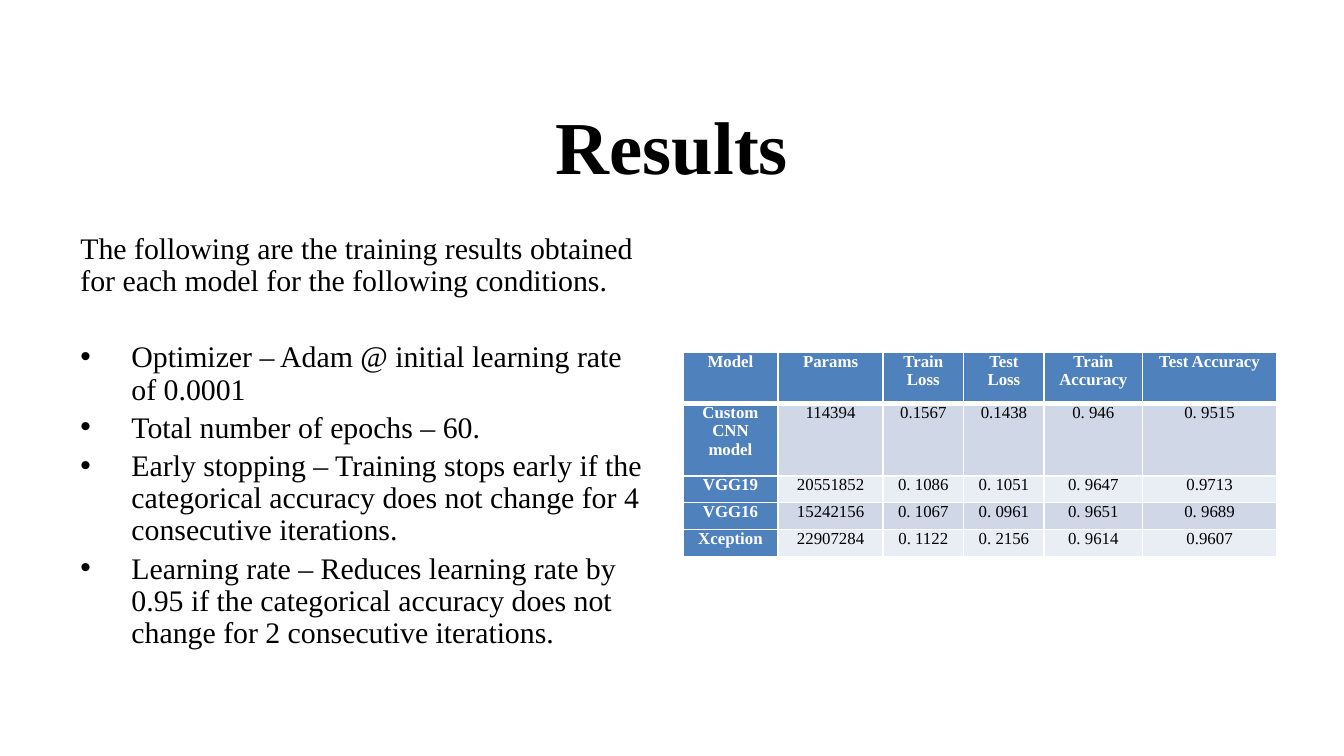
import pptx
import pptx.dml.color
import pptx.enum.text
import pptx.oxml
import pptx.oxml.ns
import pptx.util

Inches = pptx.util.Inches
Pt = pptx.util.Pt
CENTER = pptx.enum.text.PP_ALIGN.CENTER

BLACK, WHITE, BLUE = "000000", "FFFFFF", "4F81BD"
BANDS = ["D0D8E8", "E9EDF4"]

INTRO = ("The following are the training results obtained for each model "
         "for the following conditions.")
CONDITIONS = [
    "Optimizer – Adam @ initial learning rate of 0.0001",
    "Total number of epochs – 60.",
    "Early stopping – Training stops early if the categorical accuracy "
    "does not change for 4 consecutive iterations.",
    "Learning rate – Reduces learning rate by 0.95 if the categorical "
    "accuracy does not change for 2 consecutive iterations.",
]
RESULTS = [
    ["Model", "Params", "Train Loss", "Test Loss", "Train Accuracy", "Test Accuracy"],
    ["Custom CNN model", "114394", "0.1567", "0.1438", "0. 946", "0. 9515"],
    ["VGG19", "20551852", "0. 1086", "0. 1051", "0. 9647", "0.9713"],
    ["VGG16", "15242156", "0. 1067", "0. 0961", "0. 9651", "0. 9689"],
    ["Xception", "22907284", "0. 1122", "0. 2156", "0. 9614", "0.9607"],
]
COLUMN_WIDTHS = [0.71, 0.78, 0.6, 0.6, 0.73, 1]
ROW_HEIGHTS = [0.38, 0.54, 0.2, 0.2, 0.2]


def color(value):
    return pptx.dml.color.RGBColor.from_string(value)


def apply(target, values):
    for name, value in values.items():
        setattr(target, name, value)


def write(para, text, size, text_color=BLACK, bold=False, **layout):
    apply(para, layout)
    span = para.add_run()
    span.text = text
    apply(span.font, {"name": "Times New Roman", "size": Pt(size), "bold": bold})
    span.font.color.rgb = color(text_color)


def add_bullet(para, indent):
    properties = para._p.get_or_add_pPr()
    properties.set("marL", str(Inches(indent)))
    properties.set("indent", str(-Inches(indent)))
    namespace = pptx.oxml.ns.nsdecls("a")
    for tag in ('buFont typeface="Arial"', 'buChar char="•"'):
        properties.append(pptx.oxml.parse_xml(f"<a:{tag} {namespace}/>"))


def set_borders(cell, widths):
    """Draw white borders; widths are for left, right, top and bottom."""
    properties = cell._tc.get_or_add_tcPr()
    for index, (side, width) in enumerate(zip("LRTB", widths)):
        properties.insert(index, pptx.oxml.parse_xml(
            f'<a:ln{side} {pptx.oxml.ns.nsdecls("a")} w="{Pt(width)}">'
            f'<a:solidFill><a:srgbClr val="{WHITE}"/></a:solidFill></a:ln{side}>'))


def add_text_frame(page, left, top, width, height):
    box = page.shapes.add_textbox(*map(Inches, (left, top, width, height)))
    box.text_frame.word_wrap = True
    return box.text_frame


def add_title(page, left, top, width, height):
    frame = add_text_frame(page, left, top, width, height)
    frame.vertical_anchor = pptx.enum.text.MSO_ANCHOR.MIDDLE
    write(frame.paragraphs[0], "Results", 40, bold=True,
          alignment=CENTER, line_spacing=0.9)


def add_conditions(page, left, top, width, height):
    frame = add_text_frame(page, left, top, width, height)
    write(frame.paragraphs[0], INTRO, 16, line_spacing=0.9)
    for index, condition in enumerate(CONDITIONS):
        para = frame.add_paragraph()
        add_bullet(para, 0.38)
        # The wider first gap separates the list from the introduction
        write(para, condition, 16, line_spacing=0.9,
              space_before=Pt(3.2 if index else 23.5))


def add_results_table(page, left, top, width, height):
    table = page.shapes.add_table(
        len(RESULTS), len(COLUMN_WIDTHS),
        *map(Inches, (left, top, width, height))).table
    for column, column_width in zip(table.columns, COLUMN_WIDTHS):
        column.width = Inches(column_width)
    for row, row_height in zip(table.rows, ROW_HEIGHTS):
        row.height = Inches(row_height)

    for row_index, values in enumerate(RESULTS):
        for column_index, value in enumerate(values):
            cell = table.cell(row_index, column_index)
            heading = row_index == 0 or column_index == 0
            apply(cell, {"margin_left": Inches(0.06), "margin_right": Inches(0.06),
                         "margin_top": 0, "margin_bottom": 0})
            cell.fill.solid()
            cell.fill.fore_color.rgb = color(
                BLUE if heading else BANDS[(row_index - 1) % 2])
            # A thick rule separates the header from the body
            set_borders(cell, [1, 1, 3 if row_index == 1 else 1,
                               3 if row_index == 0 else 1])
            write(cell.text_frame.paragraphs[0], value, 9,
                  WHITE if heading else BLACK, heading, alignment=CENTER)


def main():
    deck = pptx.Presentation()
    # Widescreen page, 16 to 9
    deck.slide_width = Inches(10)
    deck.slide_height = deck.slide_width * 9 // 16
    page = deck.slides.add_slide(deck.slide_layouts[6])
    add_title(page, 0.5, 0.77, 9, 0.7)
    add_conditions(page, 0.5, 1.69, 4.42, 3.47)
    add_results_table(page, 5.08, 2.62, 4.42, 1.53)
    deck.save("out.pptx")


if __name__ == "__main__":
    main()
